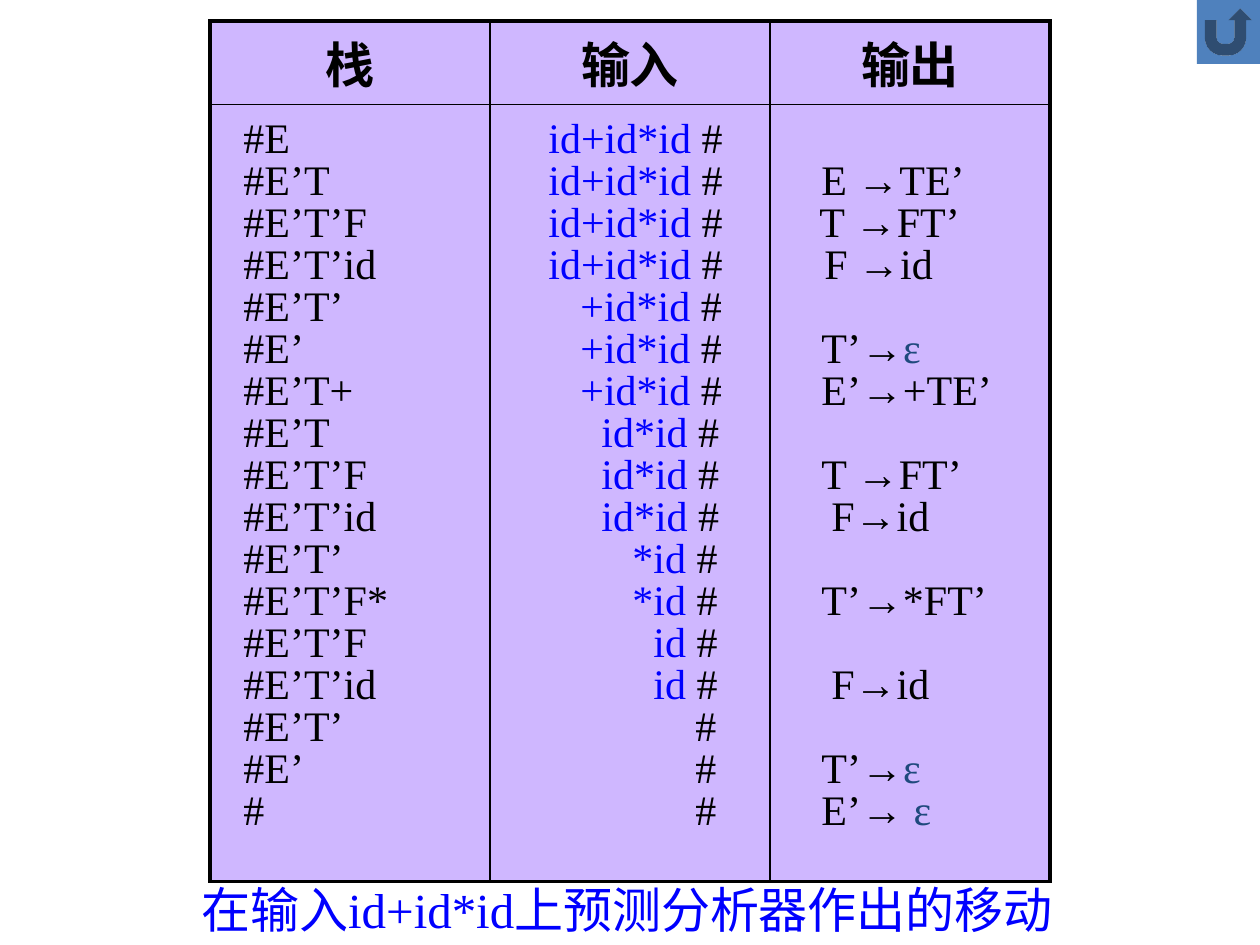
from lxml import etree
from pptx import Presentation
from pptx.dml.color import RGBColor
from pptx.enum.shapes import MSO_SHAPE
from pptx.enum.text import MSO_AUTO_SIZE, PP_ALIGN
from pptx.oxml.ns import qn
from pptx.util import Pt

RETURN_BUTTON = MSO_SHAPE.ACTION_BUTTON_RETURN
CENTER, LEFT = PP_ALIGN.CENTER, PP_ALIGN.LEFT
GROW = MSO_AUTO_SIZE.SHAPE_TO_FIT_TEXT

# Content
FONT = "Times New Roman"
COLORS = {"black": "000000", "blue": "0000FF", "epsilon": "1F497D",
          "lilac": "CFB7FF", "button": "4F81BD"}
HEADERS = ["栈", "输入", "输出"]
CAPTION = "在输入id+id*id上预测分析器作出的移动"

# Stack, remaining input, output production, output offset in px
MOVES = [
    ("#E", "id+id*id", "", 0),
    ("#E’T", "id+id*id", "E →TE’", 0),
    ("#E’T’F", "id+id*id", "T →FT’", -2),
    ("#E’T’id", "id+id*id", "F →id", 3),
    ("#E’T’", "+id*id", "", 0),
    ("#E’", "+id*id", "T’→ε", 0),
    ("#E’T+", "+id*id", "E’→+TE’", 0),
    ("#E’T", "id*id", "", 0),
    ("#E’T’F", "id*id", "T →FT’", 0),
    ("#E’T’id", "id*id", "F→id", 10),
    ("#E’T’", "*id", "", 0),
    ("#E’T’F*", "*id", "T’→*FT’", 0),
    ("#E’T’F", "id", "", 0),
    ("#E’T’id", "id", "F→id", 10),
    ("#E’T’", "", "", 0),
    ("#E’", "", "T’→ε", 0),
    ("#", "", "E’→ ε", 0),
]
# Indent of each remaining input, in px, as symbols are consumed
INPUT_INDENT = {"id+id*id": 0, "+id*id": 32, "id*id": 53, "*id": 84,
                "id": 105, "": 147}

# Layout in px
SLIDE_W, SLIDE_H = 1260, 945
TABLE_X, TABLE_Y, COLUMN_W = 210, 21, 280
ROW_HEIGHTS = [72, 777]
STACK_X, INPUT_X, OUTPUT_X = 231, 536, 809
MOVES_Y, MOVE_PITCH = 105, 42
ENTRY_W, ENTRY_H = 210, 63


def px(value):
    return round(value * 914400 / 126)


def rgb(name):
    return RGBColor.from_string(COLORS[name])


def write(frame, runs, size=24, bold=False, align=LEFT, indent=0):
    paragraph = frame.paragraphs[0]
    paragraph.alignment = align
    if indent:
        properties = paragraph._p.get_or_add_pPr()
        properties.set("marL", str(px(indent)))
        properties.set("indent", "0")
    for text, color in runs:
        run = paragraph.add_run()
        run.text = text
        run.font.name = FONT
        run.font.size = Pt(size)
        run.font.bold = bold
        run.font.color.rgb = rgb(color)


def add_text(slide, x, y, w, h, runs, **style):
    frame = slide.shapes.add_textbox(px(x), px(y), px(w), px(h)).text_frame
    frame.word_wrap = True
    frame.auto_size = GROW
    write(frame, runs, **style)


def set_borders(cell, widths):
    properties = cell._tc.get_or_add_tcPr()
    for side, width in widths.items():
        line = etree.SubElement(properties, qn(f"a:ln{side}"), w=str(Pt(width)))
        fill = etree.SubElement(line, qn("a:solidFill"))
        etree.SubElement(fill, qn("a:srgbClr"), val=COLORS["black"])


def add_frame_table(slide):
    columns, rows = len(HEADERS), len(ROW_HEIGHTS)
    table = slide.shapes.add_table(
        rows, columns, px(TABLE_X), px(TABLE_Y),
        px(columns * COLUMN_W), px(sum(ROW_HEIGHTS))).table
    for c in range(columns):
        table.columns[c].width = px(COLUMN_W)
    for r, height in enumerate(ROW_HEIGHTS):
        table.rows[r].height = px(height)
        for c in range(columns):
            cell = table.cell(r, c)
            # Thick outer edges, thin inner ones
            outer = {"L": c == 0, "R": c == columns - 1,
                     "T": r == 0, "B": r == rows - 1}
            set_borders(cell, {s: 2.25 if o else 1 for s, o in outer.items()})
            cell.fill.solid()
            cell.fill.fore_color.rgb = rgb("lilac")
    for c, header in enumerate(HEADERS):
        write(table.cell(0, c).text_frame, [(header, "black")],
              size=28, bold=True, align=CENTER)


def add_moves(slide):
    for i, (stack, remaining, output, offset) in enumerate(MOVES):
        y = MOVES_Y + i * MOVE_PITCH
        add_text(slide, STACK_X, y, ENTRY_W, ENTRY_H, [(stack, "black")])
        input_runs = [(remaining, "blue"), (" #", "black")] if remaining else [("#", "black")]
        add_text(slide, INPUT_X, y, ENTRY_W, ENTRY_H, input_runs,
                 indent=INPUT_INDENT[remaining])
        if output:
            rule, epsilon, _ = output.partition("ε")
            output_runs = [(rule, "black")]
            if epsilon:
                output_runs.append((epsilon, "epsilon"))
            add_text(slide, OUTPUT_X + offset, y, ENTRY_W, ENTRY_H, output_runs)


def main():
    deck = Presentation()
    deck.slide_width, deck.slide_height = px(SLIDE_W), px(SLIDE_H)
    slide = deck.slides.add_slide(deck.slide_layouts[6])

    add_frame_table(slide)
    add_text(slide, 189, 873, 935, 72, [(CAPTION, "blue")], size=28)
    add_moves(slide)

    # Return button in the top right corner
    button = slide.shapes.add_shape(RETURN_BUTTON, px(1197), 0, px(63), px(64))
    button.shadow.inherit = False
    button.fill.solid()
    button.fill.fore_color.rgb = rgb("button")
    button.line.fill.background()

    deck.save("out.pptx")


if __name__ == "__main__":
    main()
